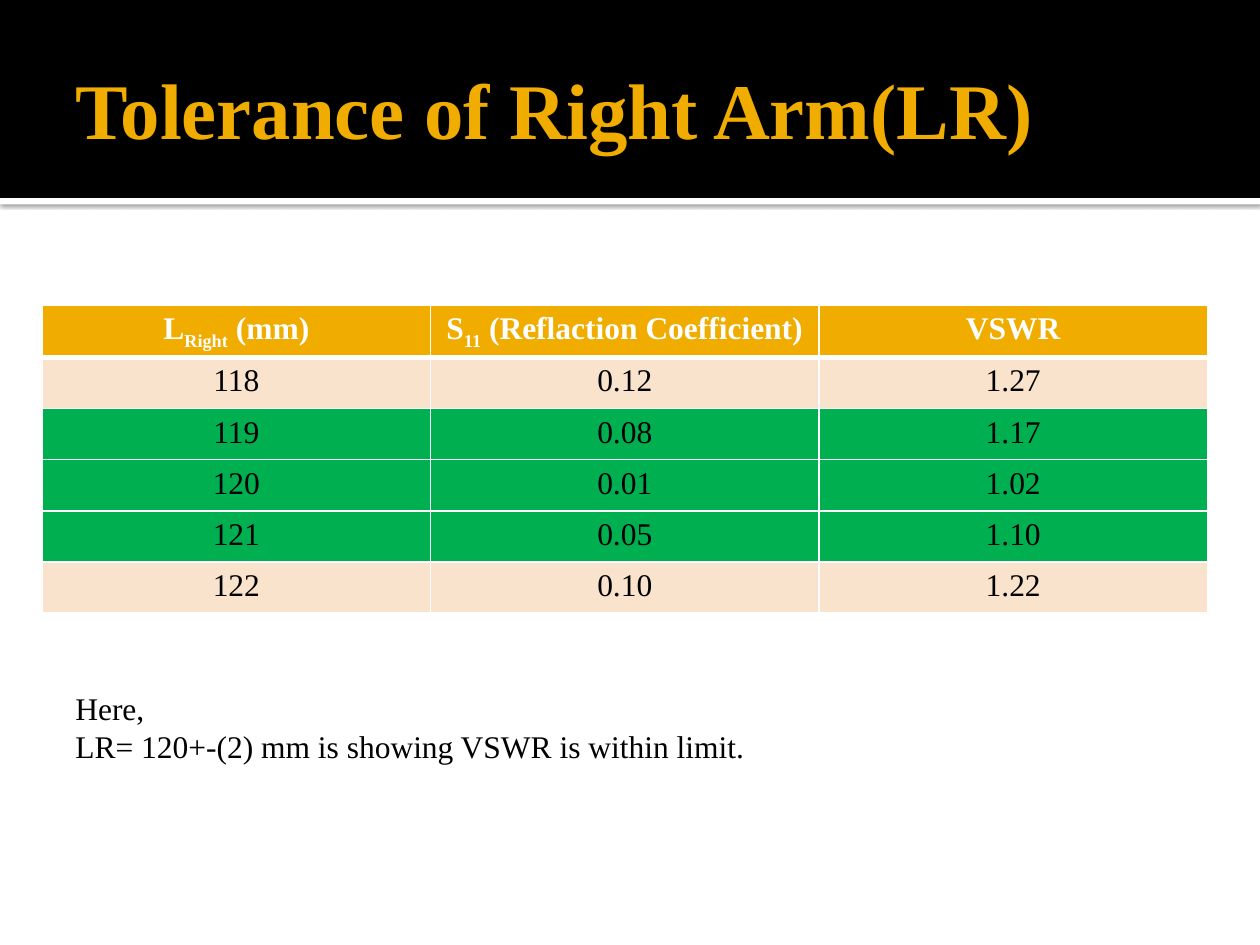
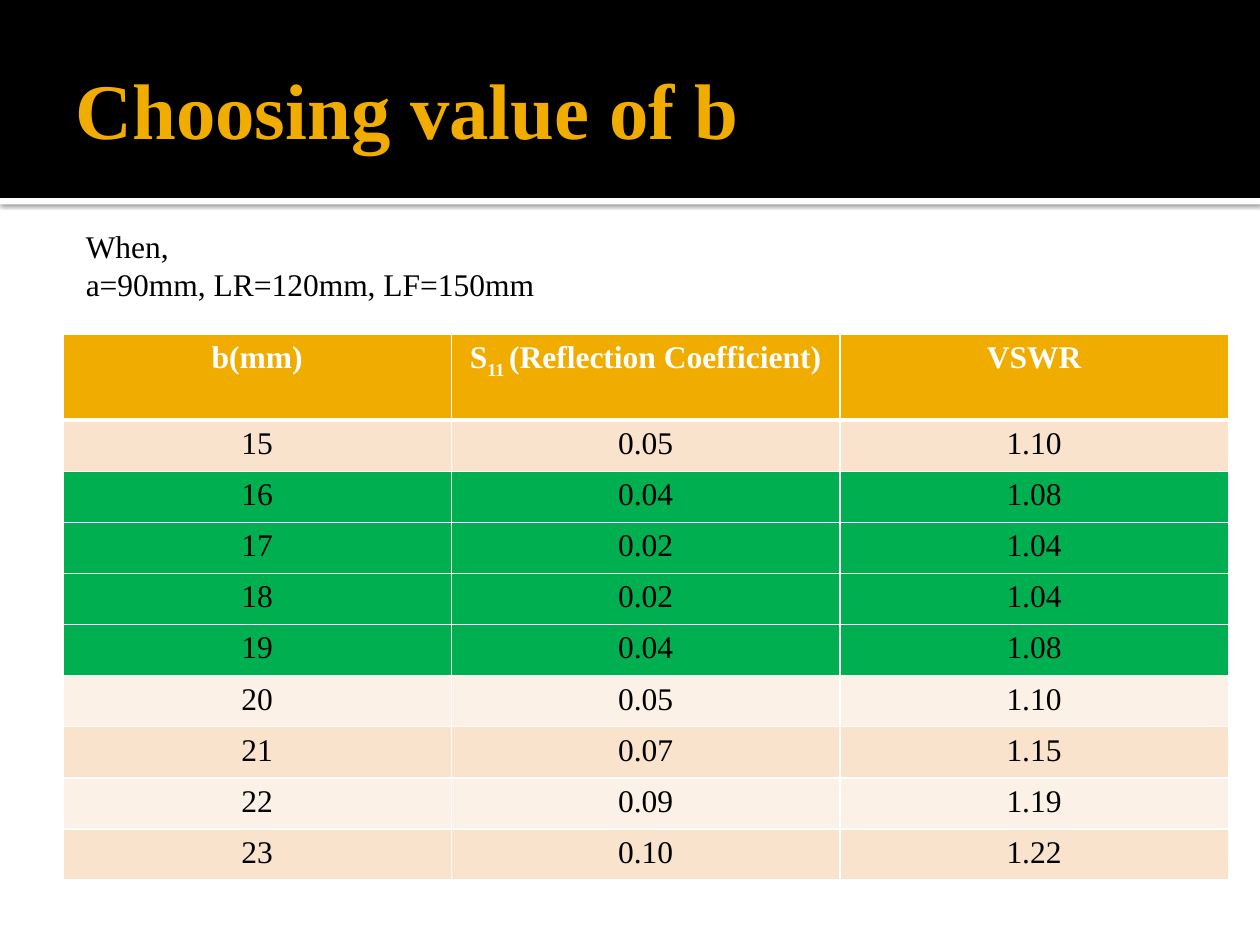
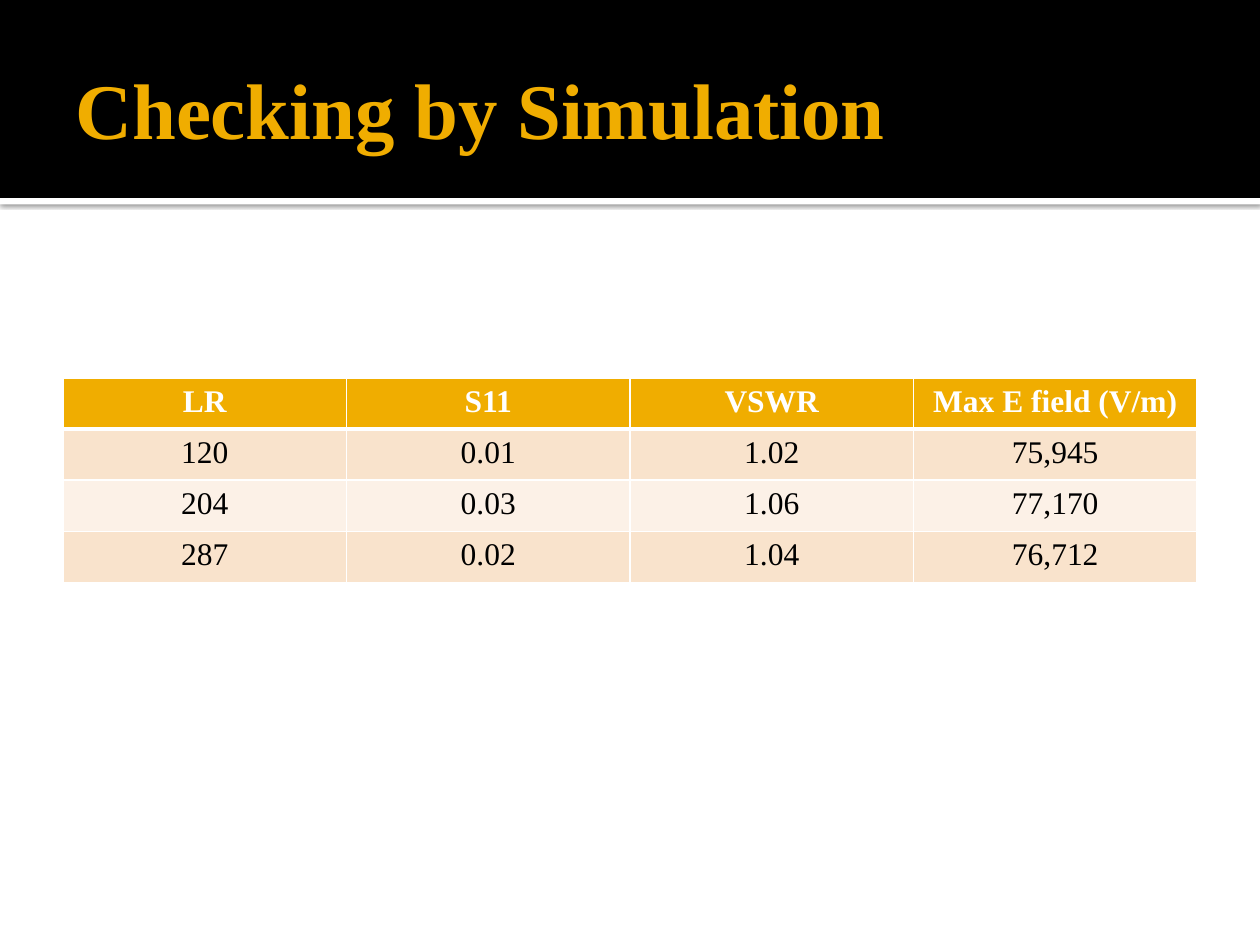
"""Build three slides of antenna tolerance tables."""
from dataclasses import dataclass

from lxml import etree
from pptx import Presentation
from pptx import util as u
from pptx.dml.color import RGBColor
from pptx.enum import shapes, text
from pptx.oxml import parse_xml
from pptx.oxml.ns import nsdecls, qn


@dataclass(frozen=True)
class Theme:
    """Hold the shared colours, font and sizes."""
    gold: str = "F0AD00"
    black: str = "000000"
    white: str = "FFFFFF"
    green: str = "00B050"
    bands: tuple = ("FCF1E7", "F9E3CC")
    font: str = "Times New Roman"
    head: int = 45
    body: int = 18
    thin: int = 1
    thick: int = 3


THEME = Theme()
WIDTH, HEIGHT = 25.4, 19.05
ROW = 1.03
STRIPS = [
    ((0, 3.99, WIDTH, 0.13), THEME.white),
    ((0, 0, WIDTH, 3.99), THEME.black),
]
TITLE = (1.27, 0.43, 22.86, 3.48)

PAGES = [
    {
        "title": "Tolerance of Right Arm(LR)",
        "place": (0.85, 6.15, 23.49),
        "top": ROW,
        "rows": [
            ("L|Right| (mm)", "S|11| (Reflaction Coefficient)", "VSWR"),
            ("118", "0.12", "1.27"),
            ("119", "0.08", "1.17"),
            ("120", "0.01", "1.02"),
            ("121", "0.05", "1.10"),
            ("122", "0.10", "1.22"),
        ],
        "good": ("119", "120", "121"),
        "note": ((1.27, 13.77, 22.86, 2.57),
                 ["Here,", "LR= 120+-(2) mm is showing VSWR is within limit."]),
    },
    {
        "title": "Choosing value of b",
        "place": (1.27, 6.74, 23.49),
        "top": 1.73,
        "rows": [
            ("b(mm)", "S|11 |(Reflection Coefficient)", "VSWR"),
            ("15", "0.05", "1.10"),
            ("16", "0.04", "1.08"),
            ("17", "0.02", "1.04"),
            ("18", "0.02", "1.04"),
            ("19", "0.04", "1.08"),
            ("20", "0.05", "1.10"),
            ("21", "0.07", "1.15"),
            ("22", "0.09", "1.19"),
            ("23", "0.10", "1.22"),
        ],
        "good": ("16", "17", "18", "19"),
        "note": ((1.48, 4.45, 12.27, 2.57),
                 ["When,", "a=90mm, LR=120mm, LF=150mm"]),
    },
    {
        "title": "Checking by Simulation",
        "place": (1.27, 7.62, 22.86),
        "top": ROW,
        "rows": [
            ("LR", "S11", "VSWR", "Max E field (V/m)"),
            ("120", "0.01", "1.02", "75,945"),
            ("204", "0.03", "1.06", "77,170"),
            ("287", "0.02", "1.04", "76,712"),
        ],
        "good": (),
        "note": None,
    },
]


def put(item, **vals):
    """Set each named value on the item."""
    for name, val in vals.items():
        setattr(item, name, val)


def box(place):
    """Turn centimetres into lengths."""
    return [u.Cm(num) for num in place]


def paint(fill, tint):
    """Give a fill one solid colour."""
    fill.solid()
    fill.fore_color.rgb = RGBColor.from_string(tint)


def write(para, words, tint, size=THEME.body, bold=False, align=text.PP_ALIGN.LEFT):
    """Write text whose every second part, split by bars, is a subscript."""
    para.alignment = align
    for spot, part in enumerate(words.split("|")):
        run = para.add_run()
        run.text = part
        put(run.font, name=THEME.font, size=u.Pt(size), bold=bold)
        run.font.color.rgb = RGBColor.from_string(tint)
        if spot % 2:
            run._r.get_or_add_rPr().set("baseline", "-25000")


def add_strips(slide, layout):
    """Draw the title strips and move them to the layout."""
    for spot, (place, tint) in enumerate(STRIPS):
        strip = slide.shapes.add_shape(shapes.MSO_SHAPE.RECTANGLE, *box(place))
        paint(strip.fill, tint)
        strip.line.fill.background()
        strip.shadow.inherit = False
        if tint == THEME.white:
            strip.element.spPr.find(qn("a:effectLst")).append(parse_xml(
                f'<a:outerShdw {nsdecls("a")} blurRad="{u.Pt(2.5)}" dist="{u.Pt(0.8)}" '
                f'dir="5400000"><a:srgbClr val="{THEME.black}"><a:alpha val="60000"/>'
                '</a:srgbClr></a:outerShdw>'))
        layout.shapes.element.insert(2 + spot, strip.element)


def add_title(slide, words):
    """Place and fill the title."""
    title = slide.shapes.title
    put(title, **dict(zip(("left", "top", "width", "height"), box(TITLE))))
    put(title.text_frame, word_wrap=True, auto_size=text.MSO_AUTO_SIZE.NONE,
        vertical_anchor=text.MSO_ANCHOR.MIDDLE, margin_left=u.Cm(0.25),
        margin_right=u.Cm(0.13), margin_top=u.Cm(0.13), margin_bottom=u.Cm(0.13))
    write(title.text_frame.paragraphs[0], words, THEME.gold, THEME.head, True)


def edge(cell, row):
    """Draw white cell borders, thick below the header."""
    props = cell._tc.get_or_add_tcPr()
    heavy = {(0, "B"), (1, "T")}
    for side in "LRTB":
        wide = THEME.thick if (row, side) in heavy else THEME.thin
        line = etree.SubElement(props, qn(f"a:ln{side}"), w=str(u.Pt(wide)))
        solid = etree.SubElement(line, qn("a:solidFill"))
        etree.SubElement(solid, qn("a:srgbClr"), val=THEME.white)


def add_grid(slide, page):
    """Add the table with its banded and marked rows."""
    rows = page["rows"]
    left, top, width = page["place"]
    high = page["top"] + ROW * (len(rows) - 1)
    grid = slide.shapes.add_table(
        len(rows), len(rows[0]), *box((left, top, width, high))).table
    for row, vals in enumerate(rows):
        head = row == 0
        grid.rows[row].height = u.Cm(page["top"] if head else ROW)
        good = vals[0] in page["good"]
        tint = THEME.gold if head else THEME.green if good else THEME.bands[row % 2]
        for col, words in enumerate(vals):
            cell = grid.cell(row, col)
            edge(cell, row)
            paint(cell.fill, tint)
            write(cell.text_frame.paragraphs[0], words,
                  THEME.white if head else THEME.black,
                  bold=head, align=text.PP_ALIGN.CENTER)


def add_note(slide, place, lines):
    """Add a text box with one paragraph a line."""
    frame = slide.shapes.add_textbox(*box(place)).text_frame
    put(frame, word_wrap=True, auto_size=text.MSO_AUTO_SIZE.SHAPE_TO_FIT_TEXT)
    for spot, line in enumerate(lines):
        para = frame.add_paragraph() if spot else frame.paragraphs[0]
        write(para, line, THEME.black)


def main():
    """Build and save the slides."""
    deck = Presentation()
    put(deck, slide_width=u.Cm(WIDTH), slide_height=u.Cm(HEIGHT))
    layout = deck.slide_layouts[5]
    for spot, page in enumerate(PAGES):
        slide = deck.slides.add_slide(layout)
        if spot == 0:
            add_strips(slide, layout)
        add_title(slide, page["title"])
        add_grid(slide, page)
        if page["note"]:
            add_note(slide, *page["note"])
    deck.save("out.pptx")


if __name__ == "__main__":
    main()
